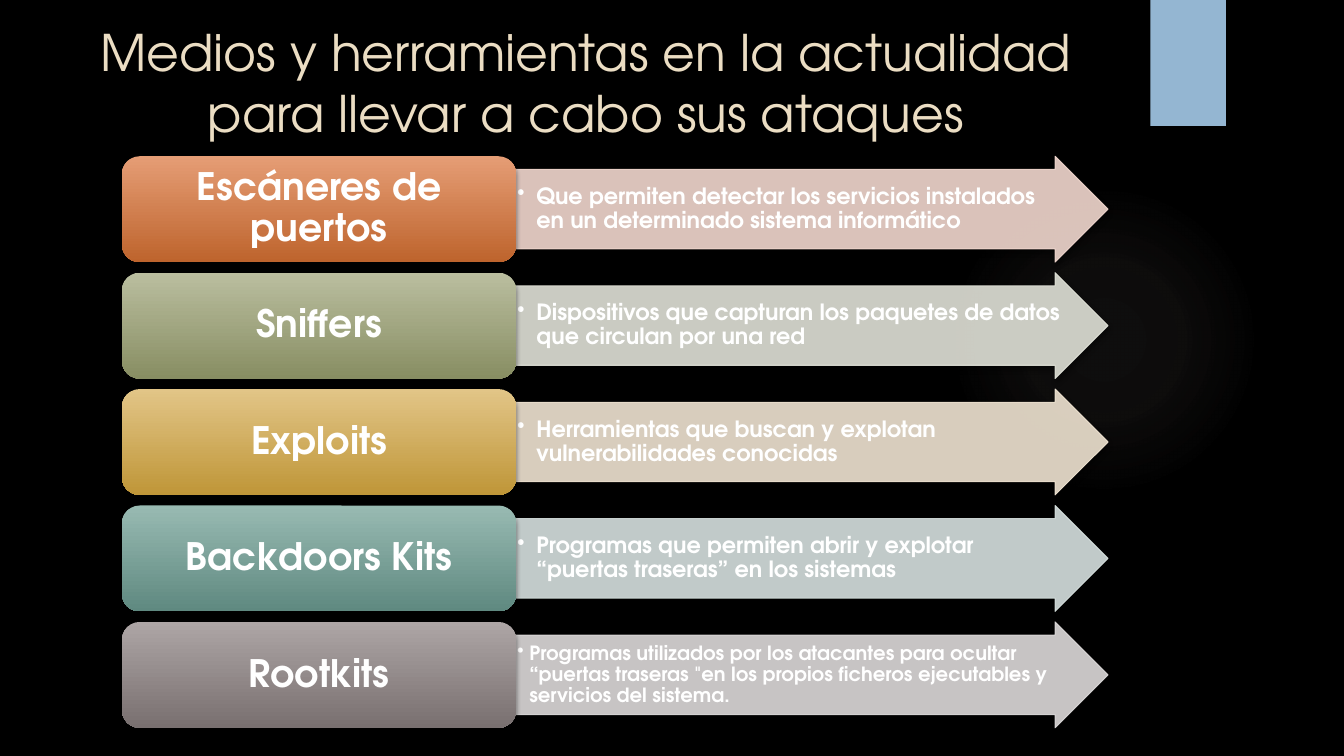
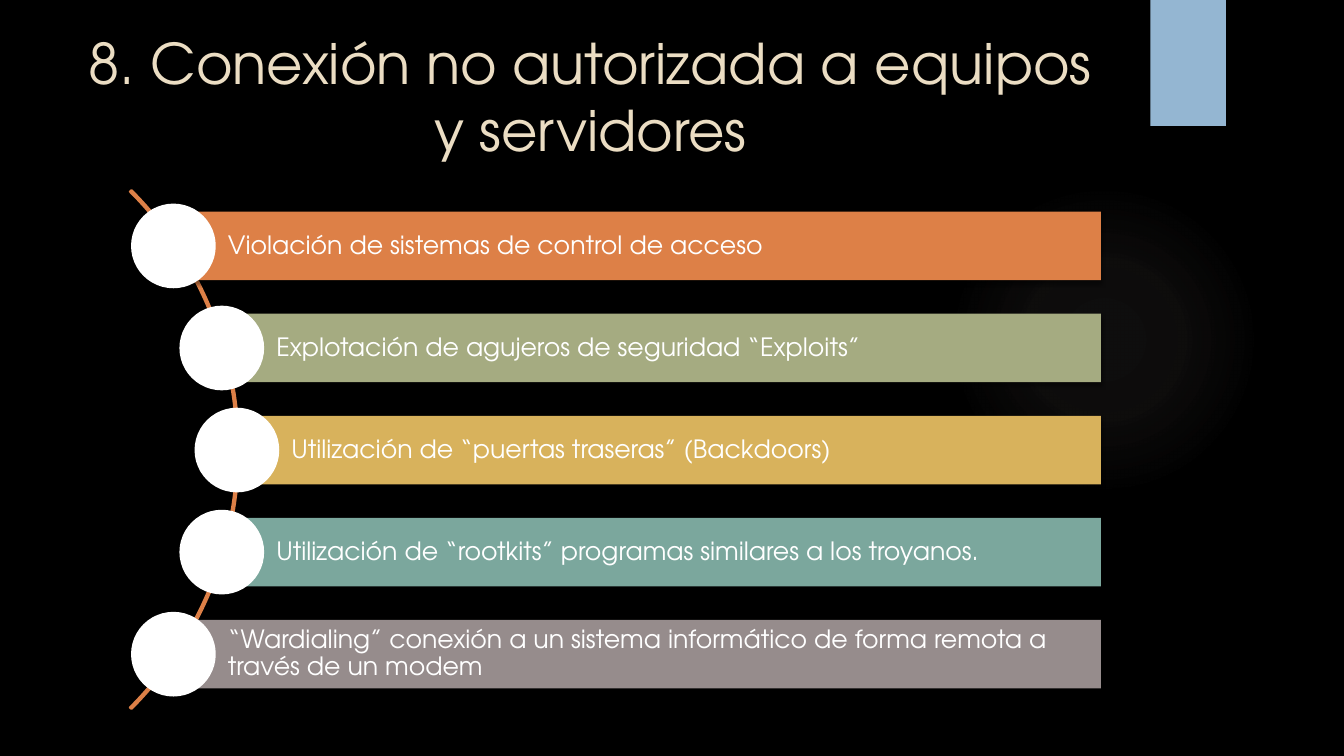
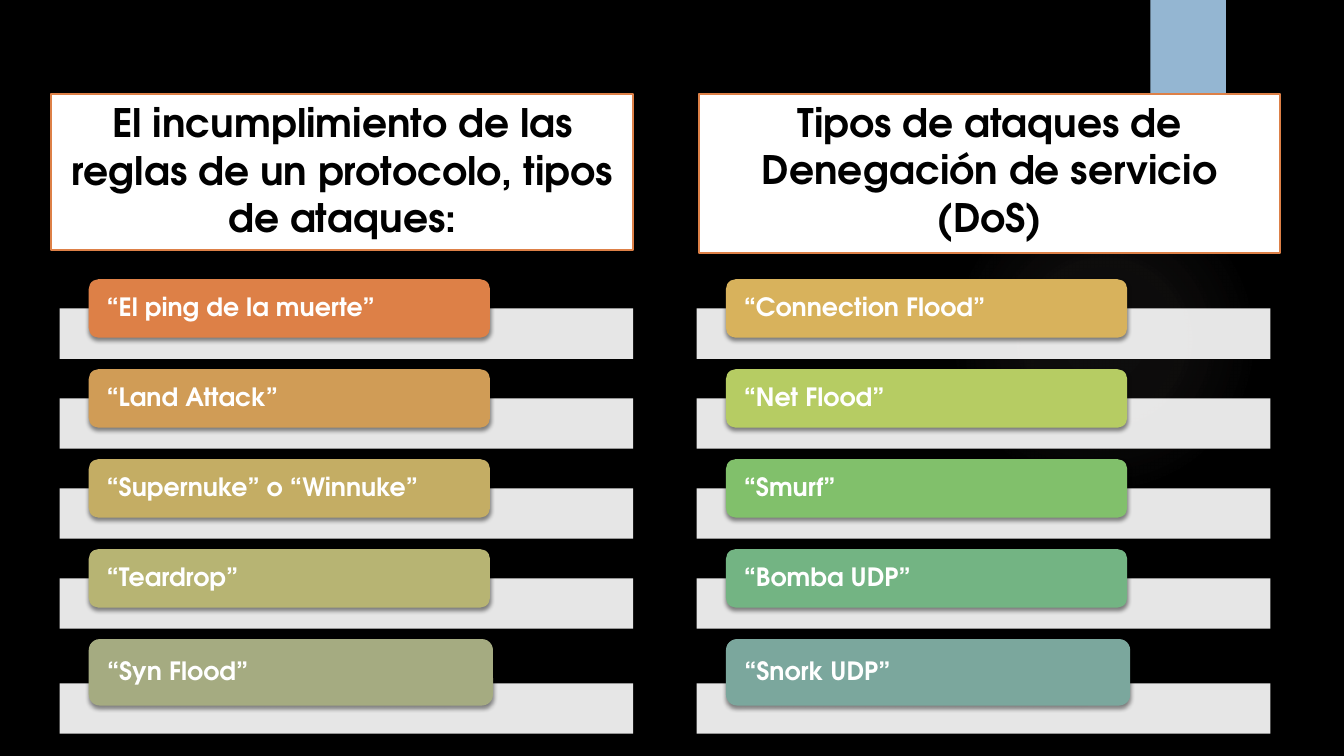
from dataclasses import dataclass

from pptx import Presentation, util as u
from pptx.dml.color import RGBColor
from pptx.enum import shapes, text
from pptx.oxml import ns, parse_xml

KIND = shapes.MSO_SHAPE
MIDDLE = text.MSO_ANCHOR.MIDDLE
TOP = text.MSO_ANCHOR.TOP
CENTER = text.PP_ALIGN.CENTER
LEFT = text.PP_ALIGN.LEFT


@dataclass(frozen=True)
class Theme:
    """Colours and type sizes shared by all slides."""
    font: str = "TeX Gyre Adventor"
    back: str = "000000"
    glow: str = "CCBEB8"
    ribbon: str = "94B6D2"
    heading: str = "EBDDC3"
    white: str = "FFFFFF"
    black: str = "000000"
    orange: str = "DD8047"
    olive: str = "A5AB81"
    gold: str = "D8B25C"
    teal: str = "7BA79D"
    gray: str = "968C8C"
    title: int = 40
    long_title: int = 36
    box_title: int = 28
    label: int = 27
    body: int = 18
    detail: int = 16
    small: int = 14


THEME = Theme()


def write(frame, words, size=THEME.body, color=THEME.white, bold=False, align=LEFT,
          anchor=MIDDLE, insets=(0.1, 0.05, 0.1, 0.05), spacing=None, hang=None):
    """Fill a text frame with one formatted paragraph."""
    frame.word_wrap = True
    frame.auto_size = text.MSO_AUTO_SIZE.NONE
    frame.vertical_anchor = anchor
    (frame.margin_left, frame.margin_top,
     frame.margin_right, frame.margin_bottom) = map(u.Inches, insets)
    paragraph = frame.paragraphs[0]
    paragraph.alignment = align
    if spacing:
        paragraph.line_spacing = spacing
    if hang:
        props = paragraph._p.get_or_add_pPr()
        props.set("marL", str(u.Inches(hang)))
        props.set("indent", str(-u.Inches(hang)))
        props.append(parse_xml(f'<a:buChar {ns.nsdecls("a")} char="•"/>'))
    run = paragraph.add_run()
    run.text = words
    run.font.name = THEME.font
    run.font.size = u.Pt(size)
    run.font.bold = bold
    run.font.color.rgb = RGBColor.from_string(color)


class Deck:
    """Holds the presentation, its style and the current slide."""

    def __init__(self, theme):
        """Start a wide presentation with an empty current slide."""
        self.theme = theme
        self.show = Presentation()
        self.show.slide_width = u.Inches(13.33)
        self.show.slide_height = u.Inches(7.5)
        self.slide = None

    def decorate_master(self):
        """Move the backdrop parts of the current slide to the master."""
        master = self.show.slide_master
        fill = master.background.fill
        fill.solid()
        fill.fore_color.rgb = RGBColor.from_string(self.theme.back)
        ribbon = self.shape(KIND.RECTANGLE, 11.41, 0, 0.75, 1.25, self.theme.ribbon, shadow=True)
        for part in (self.glow(), ribbon):
            master.shapes.element.append(part.element)

    def glow(self):
        """Draw the faint round glow."""
        glow = self.shape(KIND.OVAL, 9.41, 1.83, 3.08, 3.08)
        stops = "".join(
            f'<a:gs pos="{place * 1000}"><a:srgbClr val="{self.theme.glow}">'
            f'<a:alpha val="{alpha * 1000}"/></a:srgbClr></a:gs>'
            for place, alpha in ((0, 7), (36, 6), (69, 0)))
        props = glow.element.spPr
        props.replace(props.find(ns.qn("a:noFill")), parse_xml(
            f'<a:gradFill {ns.nsdecls("a")}><a:gsLst>{stops}</a:gsLst><a:path path="circle">'
            '<a:fillToRect l="50000" t="50000" r="50000" b="50000"/></a:path></a:gradFill>'))
        return glow

    def new_slide(self):
        """Add a slide with a title only."""
        self.slide = self.show.slides.add_slide(self.show.slide_layouts[5])
        if len(self.show.slides) == 1:
            self.decorate_master()

    def title(self, words, left, top, width, height, size, boxed=False):
        """Place the title, plain or in a framed white box."""
        title = self.slide.shapes.title
        self.place(title, left, top, width, height)
        if boxed:
            self.paint(title, self.theme.white, self.theme.orange, 1.5)
        write(title.text_frame, words, size, bold=boxed, align=CENTER, anchor=TOP,
              color=self.theme.black if boxed else self.theme.heading)

    def place(self, part, left, top, width, height):
        """Move and size a placeholder."""
        part.left, part.top, part.width, part.height = map(u.Inches, (left, top, width, height))

    def paint(self, part, fill=None, line=None, weight=0.75):
        """Set a solid, two-colour or empty fill, and the outline."""
        if fill is None:
            part.fill.background()
        elif isinstance(fill, tuple):
            part.fill.gradient()
            part.fill.gradient_angle = 270
            for stop, color in zip(part.fill.gradient_stops, fill):
                stop.color.rgb = RGBColor.from_string(color)
        else:
            part.fill.solid()
            part.fill.fore_color.rgb = RGBColor.from_string(fill)
        if line:
            part.line.color.rgb = RGBColor.from_string(line)
            part.line.width = u.Pt(weight)
        else:
            part.line.fill.background()

    def shape(self, kind, left, top, width, height, fill=None, line=None, weight=0.75,
              alpha=None, shadow=False, adjust=()):
        """Draw a preset shape."""
        part = self.slide.shapes.add_shape(kind, *map(u.Inches, (left, top, width, height)))
        for index, value in enumerate(adjust):
            part.adjustments[index] = value
        self.paint(part, fill, line, weight)
        if alpha:
            for color in part.element.spPr.iter(ns.qn("a:srgbClr")):
                color.append(parse_xml(f'<a:alpha {ns.nsdecls("a")} val="{alpha * 1000}"/>'))
        part.shadow.inherit = False
        if shadow:
            part.element.spPr.find(ns.qn("a:effectLst")).append(parse_xml(
                f'<a:outerShdw {ns.nsdecls("a")} blurRad="{u.Pt(3)}" dist="{u.Pt(2)}" '
                'dir="5400000" rotWithShape="0"><a:srgbClr val="000000">'
                '<a:alpha val="45000"/></a:srgbClr></a:outerShdw>'))
        return part

    def tool(self, top, name, detail, shades, tint, size, hang):
        """Draw a tool label and the arrow that explains it."""
        arrow = self.shape(KIND.RIGHT_ARROW, 5.12, top, 5.87, 1.05, tint, tint,
                           alpha=90, shadow=True, adjust=(0.75, 0.5))
        write(arrow.text_frame, detail, size, bold=True, insets=(0.01,) * 4,
              spacing=0.9, hang=hang)
        label = self.shape(KIND.ROUNDED_RECTANGLE, 1.21, top, 3.91, 1.05, shades, shadow=True)
        write(label.text_frame, name, self.theme.label, bold=True, align=CENTER,
              insets=(0.11, 0.06, 0.11, 0.06), spacing=0.9)

    def way_in(self, left, top, words, color):
        """Draw a bar with a white disc at its left end."""
        bar = self.shape(KIND.RECTANGLE, left, top, 10.92 - left, 0.68, color, shadow=True)
        write(bar.text_frame, words, insets=(0.54, 0.05, 0.05, 0.05), spacing=0.9)
        self.shape(KIND.OVAL, left - 0.42, top - 0.08, 0.84, 0.84, self.theme.white)

    def attacks(self, left, entries):
        """Draw a column of attack tabs on pale strips, the last one taller."""
        for row, (name, color) in enumerate(entries):
            last = row == len(entries) - 1
            width, height, drop = (4.01, 0.66, 0.44) if last else (3.98, 0.58, 0.29)
            top = 2.77 + 0.8925 * row
            self.shape(KIND.RECTANGLE, left, top + drop, 5.69, 0.5, self.theme.white, alpha=90)
            tab = self.shape(KIND.ROUNDED_RECTANGLE, left + 0.29, top, width, height,
                             color, shadow=True)
            write(tab.text_frame, name, bold=True, insets=(0.15, 0, 0.15, 0), spacing=0.9)


def tools_slide(deck):
    """Build the slide on attack tools."""
    theme = deck.theme
    deck.new_slide()
    deck.title("Medios y herramientas en la actualidad para llevar a cabo sus ataques",
               0.42, 0.16, 10.78, 1.09, theme.long_title)
    wide, tight = (theme.detail, 0.19), (theme.small, 0.12)
    tools = (
        ("Escáneres de puertos",
         "Que permiten detectar los servicios instalados en un determinado sistema informático",
         ("E59D75", "BE642D"), "F2D8CF", *wide),
        ("Sniffers",
         "Dispositivos que capturan los paquetes de datos que circulan por una red",
         ("BABE9F", "888E63"), "E1E2D8", *wide),
        ("Exploits",
         "Herramientas que buscan y explotan vulnerabilidades conocidas",
         ("E2C587", "BF9638"), "F0E4D2", *wide),
        ("Backdoors Kits",
         "Programas que permiten abrir y explotar “puertas traseras” en los sistemas",
         ("98BAB2", "5F8980"), "D7E1DF", *wide),
        ("Rootkits",
         "Programas utilizados por los atacantes para ocultar “puertas traseras \"en los "
         "propios ficheros ejecutables y servicios del sistema.",
         ("ADA5A5", "797070"), "DDDADA", *tight),
    )
    for row, tool in enumerate(tools):
        deck.tool(1.55 + 1.155 * row, *tool)


def access_slide(deck):
    """Build the slide on unauthorised access."""
    theme = deck.theme
    deck.new_slide()
    deck.title("8. Conexión no autorizada a equipos y servidores",
               0.71, 0.23, 10.29, 1.53, theme.title)
    deck.shape(KIND.BLOCK_ARC, -4.91, 0.82, 7.28, 7.28, line=theme.orange, weight=1.5,
               adjust=(189, 27, 0.003))
    ways = (
        (1.72, "Violación de sistemas de control de acceso", theme.orange),
        (2.2, "Explotación de agujeros de seguridad “Exploits”", theme.olive),
        (2.35, "Utilización de “puertas traseras” (Backdoors)", theme.gold),
        (2.2, "Utilización de “rootkits” programas similares a los troyanos.", theme.teal),
        (1.72, "“Wardialing” conexión a un sistema informático de forma remota a través "
               "de un modem", theme.gray),
    )
    for row, (left, words, color) in enumerate(ways):
        deck.way_in(left, 2.1 + 1.0125 * row, words, color)


def attacks_slide(deck):
    """Build the slide on protocol and denial of service attacks."""
    theme = deck.theme
    deck.new_slide()
    deck.title("El incumplimiento de las reglas de un protocolo, tipos de ataques:",
               0.51, 0.93, 5.77, 1.55, theme.box_title, boxed=True)
    deck.attacks(0.59, (
        ("“El ping de la muerte”", theme.orange), ("“Land Attack”", "D09C56"),
        ("“Supernuke” o “Winnuke”", "C4AD64"), ("“Teardrop”", "B7B473"),
        ("“Syn Flood”", theme.olive)))
    deck.attacks(6.91, (
        ("“Connection Flood”", theme.gold), ("“Net Flood”", "B6CC63"),
        ("“Smurf”", "81C06B"), ("“Bomba UDP”", "73B483"), ("“Snork UDP”", theme.teal)))
    denial = deck.shape(KIND.RECTANGLE, 6.93, 0.93, 5.77, 1.58, theme.white, theme.orange, 1.5)
    write(denial.text_frame, "Tipos de ataques de Denegación de servicio (DoS)",
          theme.box_title, theme.black, bold=True, align=CENTER, anchor=TOP)


def main():
    """Build and save the presentation."""
    deck = Deck(THEME)
    tools_slide(deck)
    access_slide(deck)
    attacks_slide(deck)
    deck.show.save("out.pptx")


if __name__ == "__main__":
    main()
